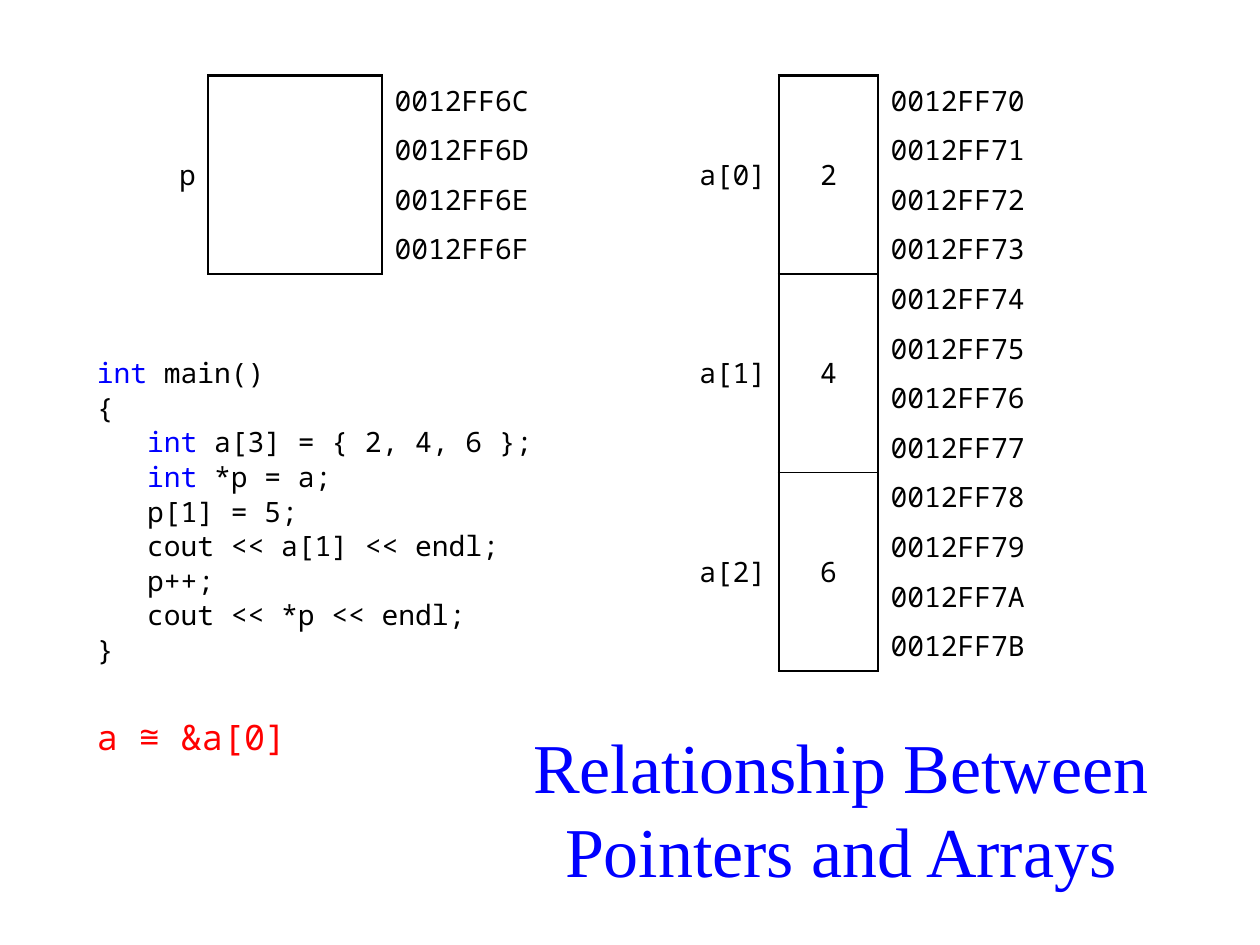
"""Builds a slide on the relationship between C++ pointers and arrays."""
import pptx
import pptx.dml.color
import pptx.enum.text
import pptx.oxml
import pptx.util
from pptx.oxml.ns import nsdecls

Cm, Pt = pptx.util.Cm, pptx.util.Pt
ALIGN = pptx.enum.text.PP_ALIGN
ANCHOR = pptx.enum.text.MSO_ANCHOR
MONO, BLACK, BLUE, RED = "Noto Sans Mono", "000000", "0000FF", "FF0000"
NO_TABLE_STYLE = "{2D5ABB26-0587-4C30-8999-92F81FD0307C}"
BYTES = 4

TITLE = "Relationship Between Pointers and Arrays"
KEYWORD = "int"
CODE = [
    "int main()",
    "{",
    "   int a[3] = { 2, 4, 6 };",
    "   int *p = a;",
    "   p[1] = 5;",
    "   cout << a[1] << endl;",
    "   p++;",
    "   cout << *p << endl;",
    "}",
]
EQUIVALENCE = "a ≅ &a[0]"
MEMORY = [
    {"left": 13.7, "widths": (2, 2, 3.5), "address": 0x0012FF70,
     "variables": [("a[0]", "2"), ("a[1]", "4"), ("a[2]", "6")], "label_rows": (1, 2)},
    {"left": 3.2, "widths": (1, 3.5, 3.5), "address": 0x0012FF6C,
     "variables": [("p", "")], "label_rows": (0, 3)},
]


def color(hex_code):
    return pptx.dml.color.RGBColor.from_string(hex_code)


def style(paragraph, size, hex_code, name=MONO):
    paragraph.font.size = Pt(size)
    paragraph.font.name = name
    paragraph.font.color.rgb = color(hex_code)


def place(shape, left, top, width, height):
    shape.left, shape.top, shape.width, shape.height = map(Cm, (left, top, width, height))
    shape.text_frame.word_wrap = True
    shape.text_frame.auto_size = pptx.enum.text.MSO_AUTO_SIZE.NONE


def add_line(body, index, gap):
    paragraph = body.paragraphs[0] if index == 0 else body.add_paragraph()
    properties = paragraph._p.get_or_add_pPr()
    properties.set("marL", "0")
    properties.set("indent", "0")
    paragraph.space_before = Pt(gap if index else 0)
    properties.append(pptx.oxml.parse_xml(f"<a:buNone {nsdecls('a')}/>"))
    return paragraph


def add_code(paragraph, line):
    style(paragraph, 16, BLACK)
    before, keyword, after = line.partition(KEYWORD)
    for text, hex_code in ((before, BLACK), (keyword, BLUE), (after, BLACK)):
        if text:
            run = paragraph.add_run()
            run.text = text
            run.font.color.rgb = color(hex_code)


def add_border(cell, edges, widths):
    for edge in edges:
        cell._tc.get_or_add_tcPr().append(pptx.oxml.parse_xml(
            f'<a:ln{edge} {nsdecls("a")} w="{Pt(widths[edge])}"><a:solidFill>'
            f'<a:srgbClr val="{BLACK}"/></a:solidFill></a:ln{edge}>'))


def outline_variable(table, first, last, row_count):
    widths = {"L": 1.5, "R": 1.5, "T": 1 if first else 1.5,
              "B": 1.5 if last == row_count - 1 else 1}
    for row in range(first, last + 1):
        edges = "LRTB" if row == first else "LRB" if row == last else "LR"
        add_border(table.cell(row, 1), edges, widths)
    table.cell(first, 1).merge(table.cell(last, 1))


def add_memory(slide, left, widths, address, variables, label_rows):
    row_count = BYTES * len(variables)
    frame = slide.shapes.add_table(row_count, len(widths), Cm(left), Cm(1.52),
                                   Cm(sum(widths)), Cm(row_count))
    table = frame.table
    table.first_row = table.horz_banding = False
    table._tbl.tblPr[0].text = NO_TABLE_STYLE
    for column, width in zip(table.columns, widths):
        column.width = Cm(width)
    for row in table.rows:
        row.height = Cm(1)
    for index, (label, value) in enumerate(variables):
        first = BYTES * index
        label_first, label_last = (first + offset for offset in label_rows)
        table.cell(label_first, 0).text = label
        table.cell(first, 1).text = value
        table.cell(label_first, 0).merge(table.cell(label_last, 0))
        outline_variable(table, first, first + BYTES - 1, row_count)
    for row in range(row_count):
        table.cell(row, 2).text = f"{address + row:08X}"
        for column, alignment in enumerate((ALIGN.RIGHT, ALIGN.CENTER, ALIGN.LEFT)):
            cell = table.cell(row, column)
            cell.fill.background()
            cell.vertical_anchor = ANCHOR.MIDDLE
            cell.margin_top = cell.margin_bottom = Cm(0.05)
            paragraph = cell.text_frame.paragraphs[0]
            paragraph.alignment = alignment
            style(paragraph, 16, BLACK)


def main():
    deck = pptx.Presentation()
    deck.slide_width, deck.slide_height = Cm(25.4), Cm(19.05)
    slide = deck.slides.add_slide(deck.slide_layouts[1])

    heading, listing = slide.shapes.title, slide.placeholders[1]
    place(heading, 9.7, 14.53, 14.5, 3.5)
    heading.text_frame.text = TITLE
    heading.text_frame.vertical_anchor = ANCHOR.MIDDLE
    heading.text_frame.paragraphs[0].alignment = ALIGN.CENTER
    style(heading.text_frame.paragraphs[0], 40, BLUE, "Times New Roman")

    place(listing, 1.7, 7.04, 10.5, 10.5)
    for index, line in enumerate(CODE):
        add_code(add_line(listing.text_frame, index, 0.6), line)
    equivalence = add_line(listing.text_frame, len(CODE), 28)
    equivalence.text = EQUIVALENCE
    style(equivalence, 20, RED)

    for block in MEMORY:
        add_memory(slide, **block)
    deck.save("out.pptx")


if __name__ == "__main__":
    main()
